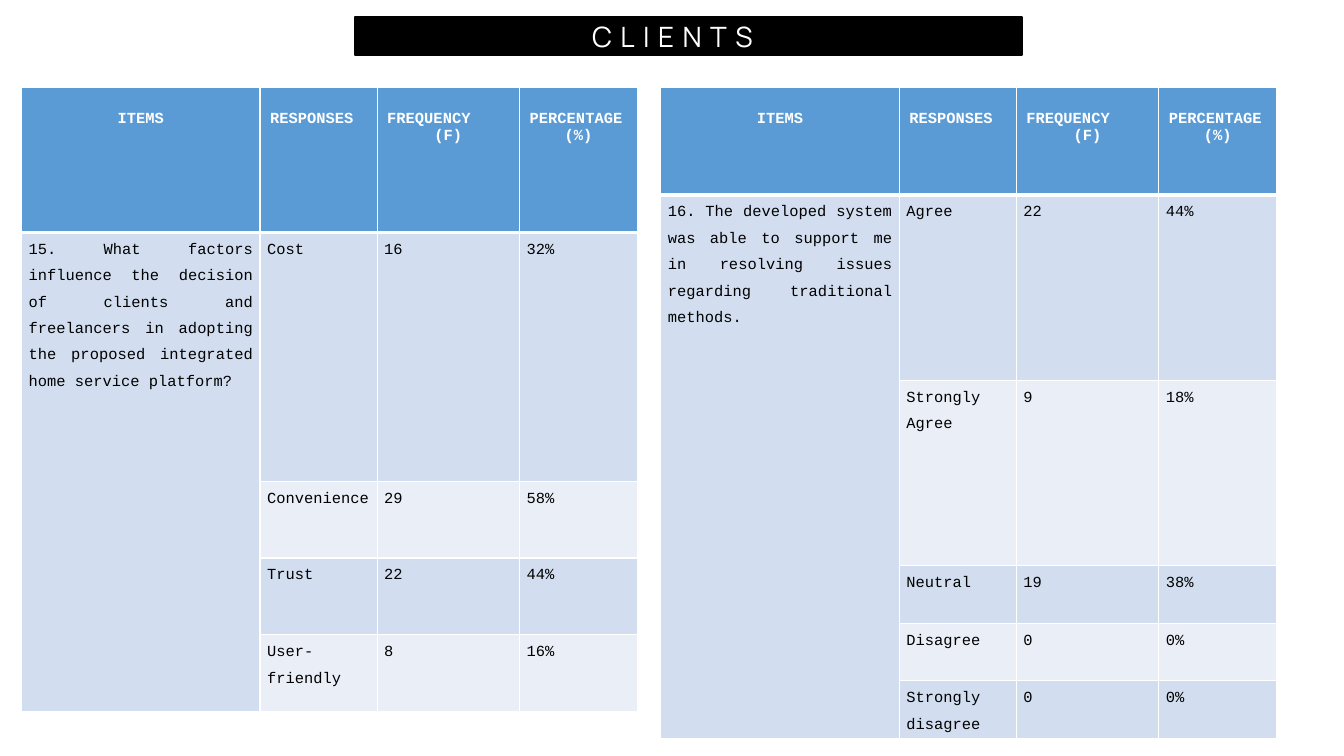
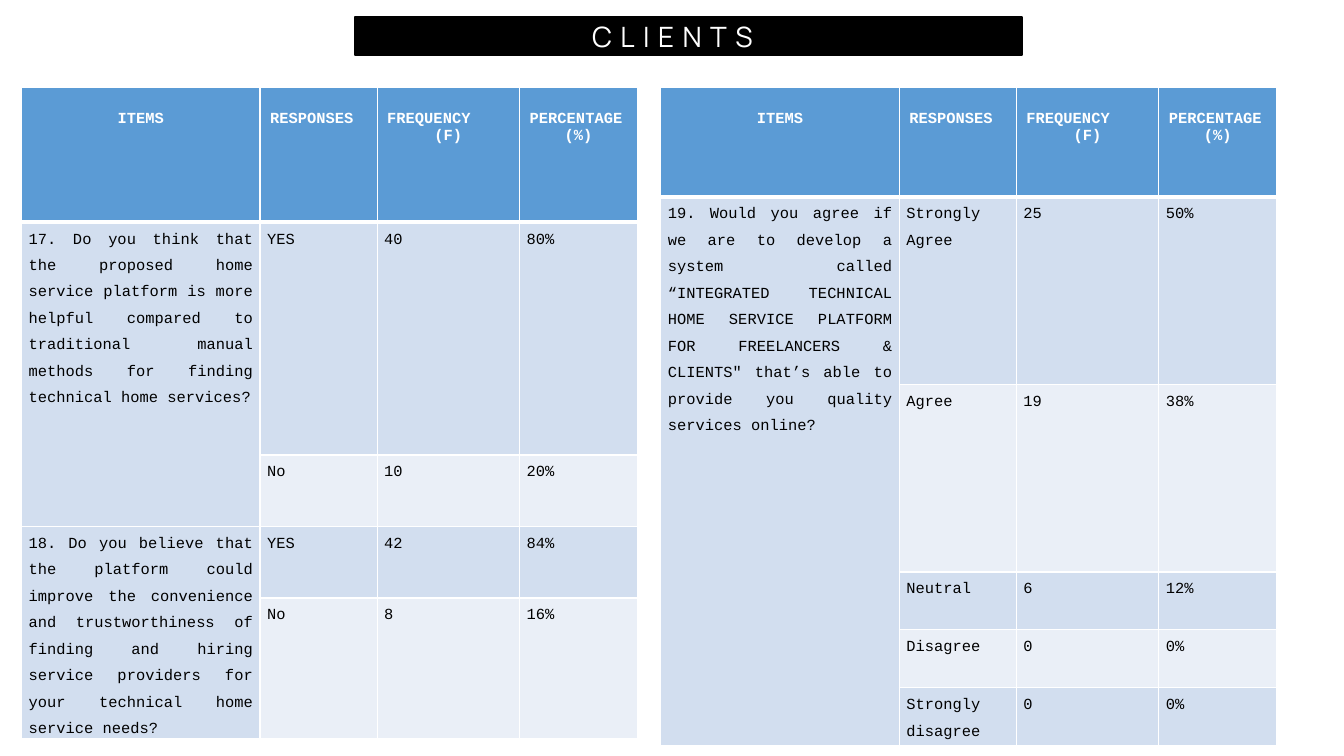
from dataclasses import dataclass
from lxml import etree
from pptx import Presentation
from pptx.dml.color import RGBColor
from pptx.enum import text as txt
from pptx.oxml import ns
from pptx.util import Pt


@dataclass(frozen=True)
class Theme:
    head: str = "5B9BD5"
    dark: str = "D2DEEF"
    pale: str = "EAEFF7"
    black: str = "000000"
    white: str = "FFFFFF"
    title: str = "Manrope"
    body: str = "Courier New"
    big: float = 20
    small: float = 11
    track: int = 600
    thin: float = 1
    thick: float = 3


T = Theme()
AL = txt.PP_ALIGN
TITLE = "CLIENTS"
BAR = (253.4, 12.2, 476.6, 27.4)
COLS = (170.4, 83.6, 101.8, 84.3)
LEFTS = (15.4, 472)
TOP = 62.6
HEADS = (
    (("ITEMS", AL.CENTER),),
    (("RESPONSES", AL.LEFT),),
    (("FREQUENCY", AL.LEFT), ("(F)", AL.CENTER)),
    (("PERCENTAGE", AL.LEFT), ("(%)", AL.CENTER)),
)

SLIDES = (
    (
        {
            "rows": (103.4, 177.9, 54.8, 54.8, 54.8),
            "items": (
                ("15. What factors influence the decision of clients and freelancers in adopting the proposed integrated home service platform?",
                 (("Cost", "16", "32%"), ("Convenience", "29", "58%"),
                  ("Trust", "22", "44%"), ("User-friendly", "8", "16%"))),
            ),
        },
        {
            "rows": (76.8, 132.4, 132.4, 41.1, 41.1, 41.1),
            "items": (
                ("16. The developed system was able to support me in resolving issues regarding traditional methods.",
                 (("Agree", "22", "44%"), ("Strongly Agree", "9", "18%"),
                  ("Neutral", "19", "38%"), ("Disagree", "0", "0%"),
                  ("Strongly disagree", "0", "0%"))),
            ),
        },
    ),
    (
        {
            "rows": (96.2, 166.2, 51.1, 51.1, 99.8),
            "items": (
                ("17. Do you think that the proposed home service platform is more helpful compared to traditional manual methods for finding technical home services?",
                 (("YES", "40", "80%"), ("No", "10", "20%"))),
                ("18. Do you believe that the platform could improve the convenience and trustworthiness of finding and hiring service providers for your technical home service needs?",
                 (("YES", "42", "84%"), ("No", "8", "16%"))),
            ),
        },
        {
            "rows": (78.2, 133.9, 133.9, 41.4, 41.4, 41.4),
            "items": (
                ("19. Would you agree if we are to develop a system called “INTEGRATED TECHNICAL HOME SERVICE PLATFORM FOR FREELANCERS & CLIENTS\" that’s able to provide you quality services online?",
                 (("Strongly Agree", "25", "50%"), ("Agree", "19", "38%"),
                  ("Neutral", "6", "12%"), ("Disagree", "0", "0%"),
                  ("Strongly disagree", "0", "0%"))),
            ),
        },
    ),
)


def rgb(code):
    return RGBColor.from_string(code)


def write(para, words, face, size, color, bold=False):
    run = para.add_run()
    run.text = words
    font = run.font
    font.name, font.size, font.bold = face, Pt(size), bold
    font.color.rgb = rgb(color)
    return run


def inset(box, left, top, right, bottom):
    box.margin_left, box.margin_top = Pt(left), Pt(top)
    box.margin_right, box.margin_bottom = Pt(right), Pt(bottom)


def edge(cell, row):
    props = cell._tc.get_or_add_tcPr()
    wide = {"lnT": row == 1, "lnB": row == 0}
    for spot, side in enumerate(("lnL", "lnR", "lnT", "lnB")):
        width = T.thick if wide.get(side) else T.thin
        line = etree.Element(ns.qn("a:" + side), w=str(int(Pt(width))))
        fill = etree.SubElement(line, ns.qn("a:solidFill"))
        etree.SubElement(fill, ns.qn("a:srgbClr"), val=T.white)
        props.insert(spot, line)


def paint(cell, row, color):
    cell.fill.solid()
    cell.fill.fore_color.rgb = rgb(color)
    edge(cell, row)


def fill_head(cell, lines):
    inset(cell, 7.2, 16.1, 7.2, 3.6)
    for spot, (words, align) in enumerate(lines):
        frame = cell.text_frame
        para = frame.add_paragraph() if spot else frame.paragraphs[0]
        para.alignment = align
        write(para, words, T.body, T.small, T.white, True)


def fill_body(cell, words):
    inset(cell, 5, 0, 5, 0)
    para = cell.text_frame.paragraphs[0]
    para.alignment = AL.JUSTIFY
    para.line_spacing = 1.5
    para.space_before = para.space_after = Pt(12)
    write(para, words, T.body, T.small, T.black)


def add_grid(slide, left, data):
    rows = data["rows"]
    frame = slide.shapes.add_table(len(rows), len(COLS), Pt(left), Pt(TOP),
                                   Pt(sum(COLS)), Pt(sum(rows)))
    grid = frame.table
    grid.horz_banding = False
    for col, width in zip(grid.columns, COLS):
        col.width = Pt(width)
    for row, height in enumerate(rows):
        grid.rows[row].height = Pt(height)
        for col in range(len(COLS)):
            body = T.dark if col == 0 or row % 2 else T.pale
            paint(grid.cell(row, col), row, body if row else T.head)
    for col, lines in enumerate(HEADS):
        fill_head(grid.cell(0, col), lines)
    row = 1
    for item, answers in data["items"]:
        first = grid.cell(row, 0)
        first.merge(grid.cell(row + len(answers) - 1, 0))
        fill_body(first, item)
        for answer in answers:
            for col, words in enumerate(answer, 1):
                fill_body(grid.cell(row, col), words)
            row += 1


def add_title(slide):
    bar = slide.shapes.title
    bar.left, bar.top, bar.width, bar.height = map(Pt, BAR)
    bar.fill.solid()
    bar.fill.fore_color.rgb = rgb(T.black)
    bar.line.color.rgb = rgb(T.black)
    bar.line.width = Pt(1.5)
    frame = bar.text_frame
    frame.auto_size = txt.MSO_AUTO_SIZE.NONE
    frame.vertical_anchor = txt.MSO_ANCHOR.MIDDLE
    inset(frame, 7.2, 3.6, 30, 3.6)
    para = frame.paragraphs[0]
    para.alignment = AL.CENTER
    run = write(para, TITLE, T.title, T.big, T.white)
    run._r.get_or_add_rPr().set("spc", str(T.track))


def main():
    deck = Presentation()
    deck.slide_width, deck.slide_height = Pt(960), Pt(540)
    for grids in SLIDES:
        slide = deck.slides.add_slide(deck.slide_layouts[5])
        add_title(slide)
        for left, data in zip(LEFTS, grids):
            add_grid(slide, left, data)
    deck.save("out.pptx")


if __name__ == "__main__":
    main()
